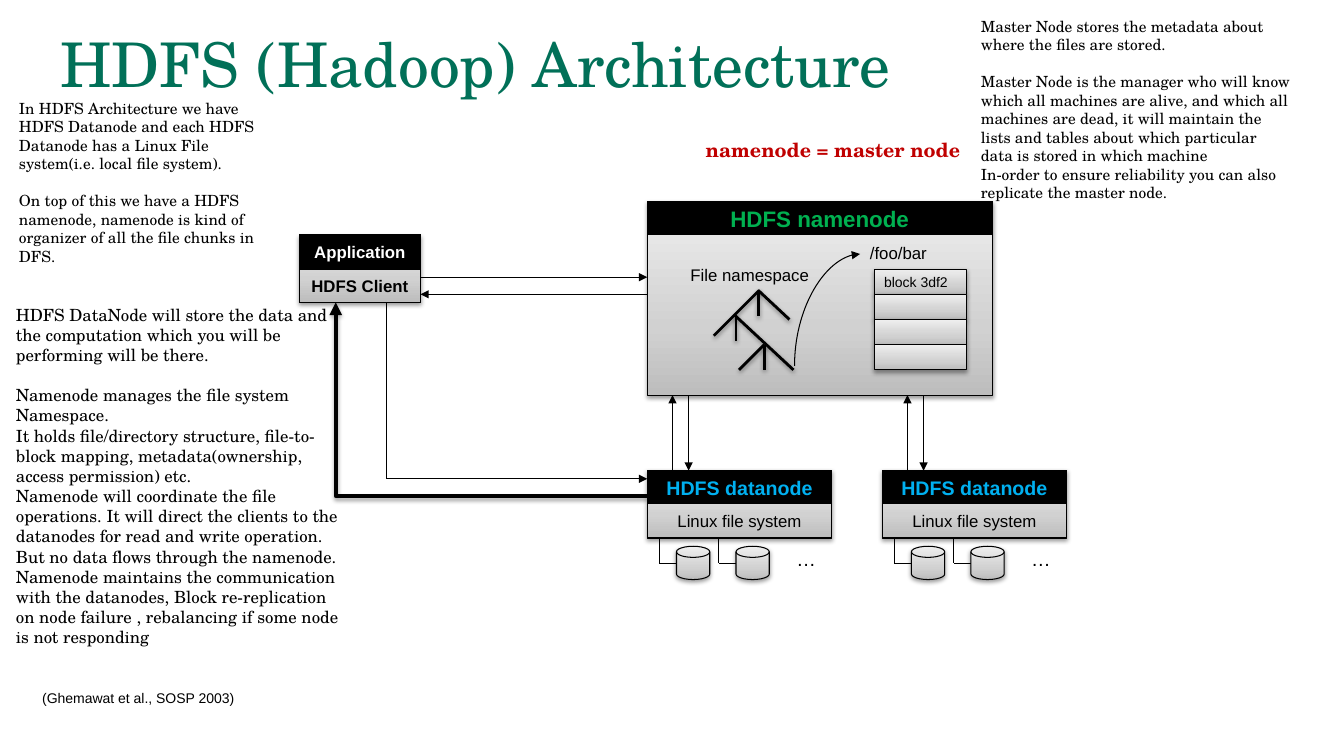
from lxml import etree
from pptx import Presentation
from pptx.dml.color import RGBColor
from pptx.enum.shapes import MSO_CONNECTOR as Link, MSO_SHAPE as Form
from pptx.enum.text import MSO_ANCHOR as Anchor, MSO_AUTO_SIZE as AutoSize, PP_ALIGN as Align
from pptx.oxml import parse_xml
from pptx.oxml.ns import nsdecls, qn
from pptx.util import Inches, Pt

BLACK = RGBColor(0x00, 0x00, 0x00)
WHITE = RGBColor(0xFF, 0xFF, 0xFF)
GREEN = RGBColor(0x00, 0xB0, 0x50)
BLUE = RGBColor(0x00, 0xB0, 0xF0)
RED = RGBColor(0xC0, 0x00, 0x00)
TEAL = RGBColor(0x01, 0x70, 0x58)
GREYS = ((0, "BDBDBD"), (35, "D1D1D1"), (100, "EEEEEE"))
SANS, SERIF = "Arial", "TeX Gyre Schola"
ROW = 0.33


class Diagram:
    def __init__(self, page):
        self.page = page
        self.shapes = page.shapes

    def start_group(self):
        self.shapes = self.page.shapes.add_group_shape().shapes

    def end_group(self):
        self.shapes = self.page.shapes

    def add_span(self, para, text, size, font=SANS, color=BLACK, bold=False):
        span = para.add_run()
        span.text = text
        span.font.size, span.font.name = Pt(size), font
        span.font.bold = bold
        span.font.color.rgb = color

    def title(self, text):
        box = self.page.shapes.title
        box.left, box.top, box.width, box.height = map(Inches, (0.5, 0.26, 11.5, 0.83))
        frame = box.text_frame
        frame.auto_size, frame.vertical_anchor = AutoSize.NONE, Anchor.MIDDLE
        para = frame.paragraphs[0]
        para.alignment, para.line_spacing = Align.LEFT, 0.9
        self.add_span(para, text, 44, SERIF, TEAL)

    def label(self, at, text, size, **style):
        self.note(at, [(text, 0)], size, wrap=False, **style)

    def note(self, at, paragraphs, size, wrap=True, **style):
        """Each paragraph is its text and the points of space before it."""
        frame = self.shapes.add_textbox(*map(Inches, at)).text_frame
        frame.word_wrap = wrap
        frame.auto_size = AutoSize.SHAPE_TO_FIT_TEXT
        for number, (text, gap) in enumerate(paragraphs):
            para = frame.add_paragraph() if number else frame.paragraphs[0]
            para.space_before = Pt(gap)
            self.add_span(para, text, size, **style)

    def add_shadow(self, effects, opacity):
        effects.append(parse_xml(
            f'<a:outerShdw {nsdecls("a")} blurRad="40000" dist="20000" dir="5400000" rotWithShape="0">'
            f'<a:srgbClr val="000000"><a:alpha val="{opacity * 1000}"/></a:srgbClr></a:outerShdw>'))

    def shape(self, at, fill=None, form=Form.RECTANGLE):
        shape = self.shapes.add_shape(form, *map(Inches, at))
        shape.shadow.inherit = False
        shape.line.color.rgb, shape.line.width = BLACK, Pt(0.75)
        if fill is None:
            shape.fill.background()
        else:
            shape.fill.solid()
            shape.fill.fore_color.rgb = fill
        return shape

    def panel(self, at, form=Form.RECTANGLE):
        """A grey shaded shape with a soft shadow."""
        shape = self.shape(at, WHITE, form)
        stops = "".join(f'<a:gs pos="{place * 1000}"><a:srgbClr val="{grey}"/></a:gs>'
                        for place, grey in GREYS)
        properties = shape.element.spPr
        plain = properties.find(qn("a:solidFill"))
        plain.addprevious(parse_xml(
            f'<a:gradFill {nsdecls("a")} rotWithShape="1"><a:gsLst>{stops}</a:gsLst>'
            '<a:lin ang="16200000" scaled="0"/></a:gradFill>'))
        properties.remove(plain)
        self.add_shadow(properties.find(qn("a:effectLst")), 38)
        return shape

    def caption(self, shape, text, size, align=Align.CENTER, **style):
        frame = shape.text_frame
        frame.vertical_anchor = Anchor.MIDDLE
        frame.paragraphs[0].alignment = align
        self.add_span(frame.paragraphs[0], text, size, **style)

    def line(self, start, end, width=0.75, arrow=False, shadow=0, kind=Link.STRAIGHT):
        line = self.shapes.add_connector(kind, *map(Inches, start + end))
        line.line.color.rgb, line.line.width = BLACK, Pt(width)
        properties = line.element.spPr
        if arrow:
            etree.SubElement(properties.find(qn("a:ln")), qn("a:tailEnd"), type="triangle")
        effects = etree.SubElement(properties, qn("a:effectLst"))
        if shadow:
            self.add_shadow(effects, shadow)
        return line

    def turned(self, preset, kind, start, end, angle, **style):
        """An arrow with a single corner or curve, turned by angle."""
        properties = self.line(start, end, arrow=True, kind=kind, **style).element.spPr
        properties.find(qn("a:prstGeom")).set("prst", preset)
        properties.find(qn("a:xfrm")).set("rot", str(angle * 60000))


def draw_client(diagram):
    left, top, width = 2.97, 2.33, 1.2
    diagram.panel((left, top, width, 0.67))
    header = diagram.shape((left, top, width, ROW), BLACK)
    diagram.caption(header, "Application", 12, color=WHITE, bold=True)
    body = diagram.shape((left, top + 0.34, width, ROW))
    diagram.caption(body, "HDFS Client", 12, bold=True)


def draw_namenode(diagram):
    diagram.panel((6.42, 2, 3.42, 1.92))
    header = diagram.shape((6.42, 2, 3.42, ROW), BLACK)
    diagram.caption(header, "HDFS namenode", 16, color=GREEN, bold=True)
    diagram.label((6.75, 2.58, 1.39, 0.3), "File namespace", 12)
    diagram.label((8.53, 2.36, 0.77, 0.3), "/foo/bar", 12)
    # File tree
    branches = (((7.53, 2.88), (7.08, 3.33)), ((7.52, 2.88), (7.83, 3.17)),
                ((7.58, 3.42), (7.33, 3.67)), ((7.29, 3.13), (7.87, 3.67)))
    stems = [((x, y), (x, y + 0.25)) for x, y in ((7.58, 3.42), (7.52, 2.89), (7.3, 3.13))]
    for start, end in (*branches, *stems):
        diagram.line(start, end, width=2, shadow=38)
    diagram.turned("curvedConnector2", Link.CURVE, (8.76, 3.4), (7.65, 2.75), 90)
    # Block list
    blocks = [diagram.panel((8.67, 2.67 + 0.25 * row, 0.92, 0.25)) for row in range(4)]
    diagram.caption(blocks[0], "block 3df2", 10, align=Align.LEFT)


def draw_datanode(diagram, left):
    diagram.start_group()
    top, width = 4.67, 1.83
    diagram.panel((left, top, width, 0.67))
    header = diagram.shape((left, top, width, ROW), BLACK)
    diagram.caption(header, "HDFS datanode", 14, color=BLUE, bold=True)
    body = diagram.shape((left, top + ROW, width, ROW))
    diagram.caption(body, "Linux file system", 12)
    # Disks and their feeds
    for disk in (left + 0.29, left + 0.88):
        diagram.panel((disk, 5.42, 0.33, 0.33), Form.FLOWCHART_MAGNETIC_DISK)
        feed = disk - 0.17
        diagram.line((feed, 5.34), (feed, 5.59))
        diagram.line((feed, 5.59), (disk, 5.59))
    diagram.label((left + 1.38, 5.38, 0.4, 0.34), "…", 14)
    # Exchange with the namenode
    diagram.line((left + 0.41, 3.92), (left + 0.41, top), arrow=True)
    diagram.line((left + 0.25, top), (left + 0.25, 3.92), arrow=True)
    diagram.end_group()


def draw_client_links(diagram):
    diagram.line((4.17, 2.75), (6.42, 2.75), arrow=True)
    diagram.line((6.42, 2.92), (4.17, 2.92), arrow=True)
    diagram.line((3.83, 4.75), (6.42, 4.75), arrow=True)
    diagram.line((3.83, 4.75), (3.83, 3))
    diagram.turned("bentConnector2", Link.ELBOW, (3.33, 3), (6.42, 4.92), 180,
                   width=3, shadow=35)


def draw_notes(diagram):
    diagram.label((0.32, 6.79, 2.12, 0.27), "(Ghemawat et al., SOSP 2003)", 10)
    diagram.label((6.9, 1.32, 2.75, 0.34), "namenode = master node", 14,
                  font=SERIF, color=RED, bold=True)
    diagram.note((9.63, 0.12, 3.29, 1.95), [
        ("Master Node stores the metadata about where the files are stored.", 0),
        ("Master Node is the manager who will know which all machines are alive, and which all machines "
         "are dead, it will maintain the lists and tables about which particular data is stored in "
         "which machine", 13.2),
        ("In-order to ensure reliability you can also replicate the master node.", 0)], 11, font=SERIF)
    diagram.note((0.09, 0.93, 2.83, 2.14), [
        ("In HDFS Architecture we have HDFS Datanode and each HDFS Datanode has a Linux File "
         "system(i.e. local file system).", 0),
        ("On top of this we have a HDFS namenode, namenode is kind of organizer of all the file "
         "chunks in DFS.", 13.2)], 11, font=SERIF)
    diagram.note((0.06, 2.97, 3.41, 3.53), [
        ("HDFS DataNode will store the data and the computation which you will be performing "
         "will be there.", 0),
        ("Namenode manages the file system Namespace.", 14.4),
        ("It holds file/directory structure, file-to-block mapping, metadata(ownership, access "
         "permission) etc.", 0),
        ("Namenode will coordinate the file operations. It will direct the clients to the datanodes "
         "for read and write operation. But no data flows through the namenode.", 0),
        ("Namenode maintains the communication with the datanodes, Block re-replication on node "
         "failure , rebalancing if some node is not responding", 0)], 12, font=SERIF)


def main():
    deck = Presentation()
    deck.slide_width, deck.slide_height = Inches(13.33), Inches(7.5)
    diagram = Diagram(deck.slides.add_slide(deck.slide_layouts[5]))
    diagram.title("HDFS (Hadoop) Architecture")
    draw_client_links(diagram)
    draw_client(diagram)
    draw_namenode(diagram)
    for left in (6.42, 8.75):
        draw_datanode(diagram, left)
    draw_notes(diagram)
    deck.save("out.pptx")


if __name__ == "__main__":
    main()
